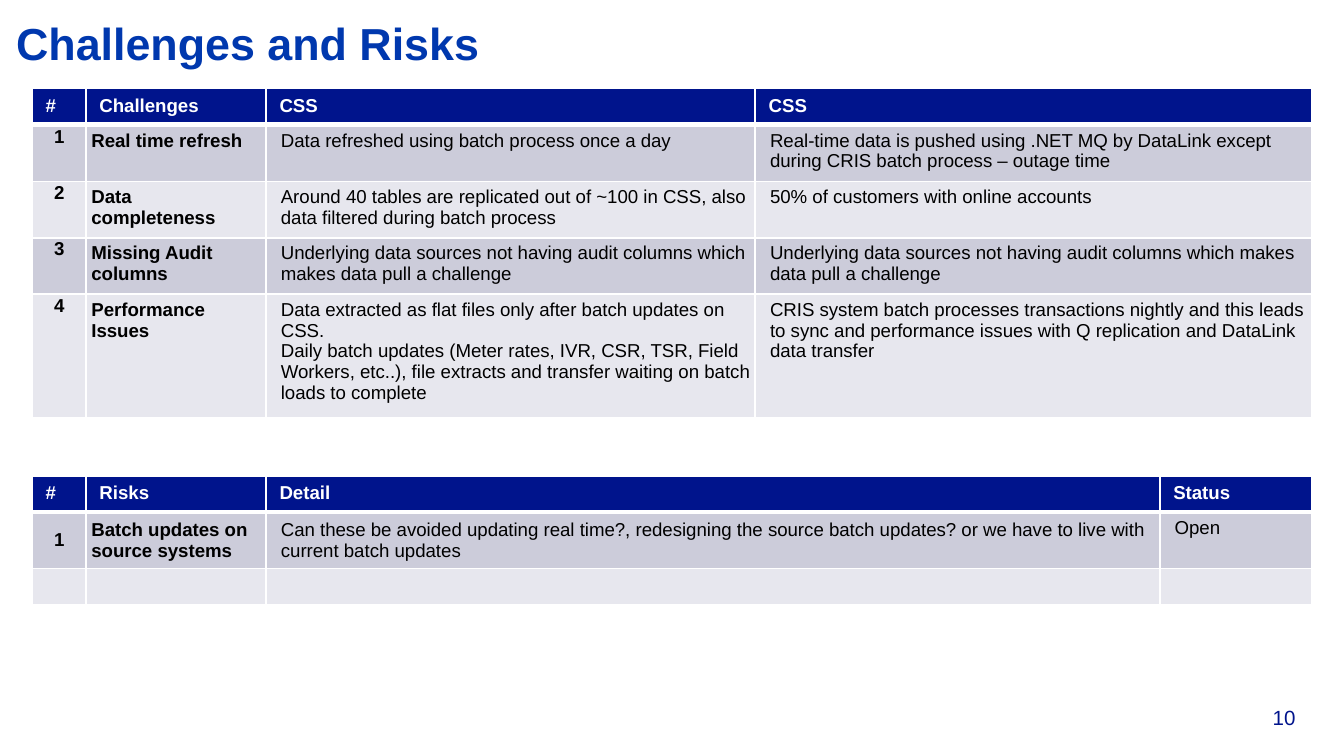
"""Build the Challenges and Risks slide with its two tables."""
from lxml import etree
from pptx import Presentation
from pptx import util as u
from pptx.dml.color import RGBColor
from pptx.enum import text
from pptx.oxml import ns

COLORS = {
    "navy": "00148C", "blue": "0038AE", "white": "FFFFFF",
    "black": "000000", "dark_band": "CCCCDA", "light_band": "E7E7EE",
}
AUDIT = "Underlying data sources not having audit columns which makes data pull a challenge"
TOP, MIDDLE = text.MSO_ANCHOR.TOP, text.MSO_ANCHOR.MIDDLE

tables = [
    {
        "top": 0.66,
        "widths": [0.4, 1.34, 3.64, 4.14],
        "heights": [0.27, 0.42, 0.42, 0.42, 0.92],
        "anchors": [TOP, TOP, TOP, TOP],
        "rows": [
            ["#", "Challenges", "CSS", "CSS"],
            ["1", "Real time refresh", "Data refreshed using batch process once a day",
             "Real-time data is pushed using .NET MQ by DataLink except during CRIS batch process – outage time"],
            ["2", "Data completeness",
             "Around 40 tables are replicated out of ~100 in CSS, also data filtered during batch process",
             "50% of customers with online accounts"],
            ["3", "Missing Audit columns", AUDIT, AUDIT],
            ["4", "Performance Issues",
             "Data extracted as flat files only after batch updates on CSS.\n"
             "Daily batch updates (Meter rates, IVR, CSR, TSR, Field Workers, etc..), "
             "file extracts and transfer waiting on batch loads to complete",
             "CRIS system batch processes transactions nightly and this leads to sync and "
             "performance issues with Q replication and DataLink data transfer"],
        ],
    },
    {
        "top": 3.54,
        "widths": [0.4, 1.34, 6.65, 1.13],
        "heights": [0.27, 0.42, 0.25],
        "anchors": [MIDDLE, MIDDLE, MIDDLE, TOP],
        "rows": [
            ["#", "Risks", "Detail", "Status"],
            ["1", "Batch updates on source systems",
             "Can these be avoided updating real time?, redesigning the source batch updates? "
             "or we have to live with current batch updates", "Open"],
            ["", "", "", ""],
        ],
    },
]


def add_span(para, words, size, color, bold=False):
    span = para.add_run()
    span.text = words
    span.font.name = "Arial"
    span.font.size = u.Pt(size)
    span.font.bold = bold
    span.font.color.rgb = RGBColor.from_string(COLORS[color])


def add_borders(cell, row):
    props = cell._tc.get_or_add_tcPr()
    widths = {"lnL": 1, "lnR": 1, "lnT": 3 if row == 1 else 1, "lnB": 3 if row == 0 else 1}
    for side, points in widths.items():
        line = etree.SubElement(props, ns.qn(f"a:{side}"), w=str(u.Pt(points)))
        fill = etree.SubElement(line, ns.qn("a:solidFill"))
        etree.SubElement(fill, ns.qn("a:srgbClr"), val=COLORS["white"])


deck = Presentation()
deck.slide_width = u.Inches(10)
deck.slide_height = u.Inches(10) * 9 // 16
page = deck.slides.add_slide(deck.slide_layouts[6])

labels = [
    ("Challenges and Risks", (0.12, 0.12, 9.87, 0.41), 24, "blue", True, text.PP_ALIGN.LEFT, TOP),
    ("10", (9.06, 5.24, 0.58, 0.19), 11, "navy", False, text.PP_ALIGN.RIGHT, text.MSO_ANCHOR.BOTTOM),
]
for words, place, size, color, bold, align, anchor in labels:
    box = page.shapes.add_textbox(*map(u.Inches, place))
    frame = box.text_frame
    frame.word_wrap = True
    frame.vertical_anchor = anchor
    frame.margin_left = frame.margin_right = frame.margin_top = frame.margin_bottom = 0
    para = frame.paragraphs[0]
    para.alignment = align
    add_span(para, words, size, color, bold)

for table in tables:
    rows, widths, heights = table["rows"], table["widths"], table["heights"]
    grid = page.shapes.add_table(
        len(rows), len(widths), u.Inches(0.24), u.Inches(table["top"]),
        u.Inches(sum(widths)), u.Inches(sum(heights))).table
    for column, width in zip(grid.columns, widths):
        column.width = u.Inches(width)
    for line, height in zip(grid.rows, heights):
        line.height = u.Inches(height)

    for row, entries in enumerate(rows):
        header = row == 0
        band = "navy" if header else "dark_band" if row % 2 else "light_band"
        for col, words in enumerate(entries):
            cell = grid.cell(row, col)
            add_borders(cell, row)
            cell.fill.solid()
            cell.fill.fore_color.rgb = RGBColor.from_string(COLORS[band])
            if not words:
                cell.text_frame.paragraphs[0]._p.get_or_add_endParaRPr().set("sz", "1000")
                continue
            if not header:
                margin = u.Inches(0.01 if col == 0 else 0.04)
                cell.margin_left = cell.margin_right = margin
                cell.margin_top = cell.margin_bottom = margin
                cell.vertical_anchor = table["anchors"][col]
            for index, sentence in enumerate(words.split("\n")):
                frame = cell.text_frame
                para = frame.add_paragraph() if index else frame.paragraphs[0]
                if header or col < 2:
                    para.space_after = u.Pt(6)
                else:
                    para._p.get_or_add_pPr().set("marL", str(u.Inches(0.07)))
                if col == 0 and not header:
                    para.alignment = text.PP_ALIGN.CENTER
                add_span(para, sentence, 10, "white" if header else "black", header or col < 2)

deck.save("out.pptx")
